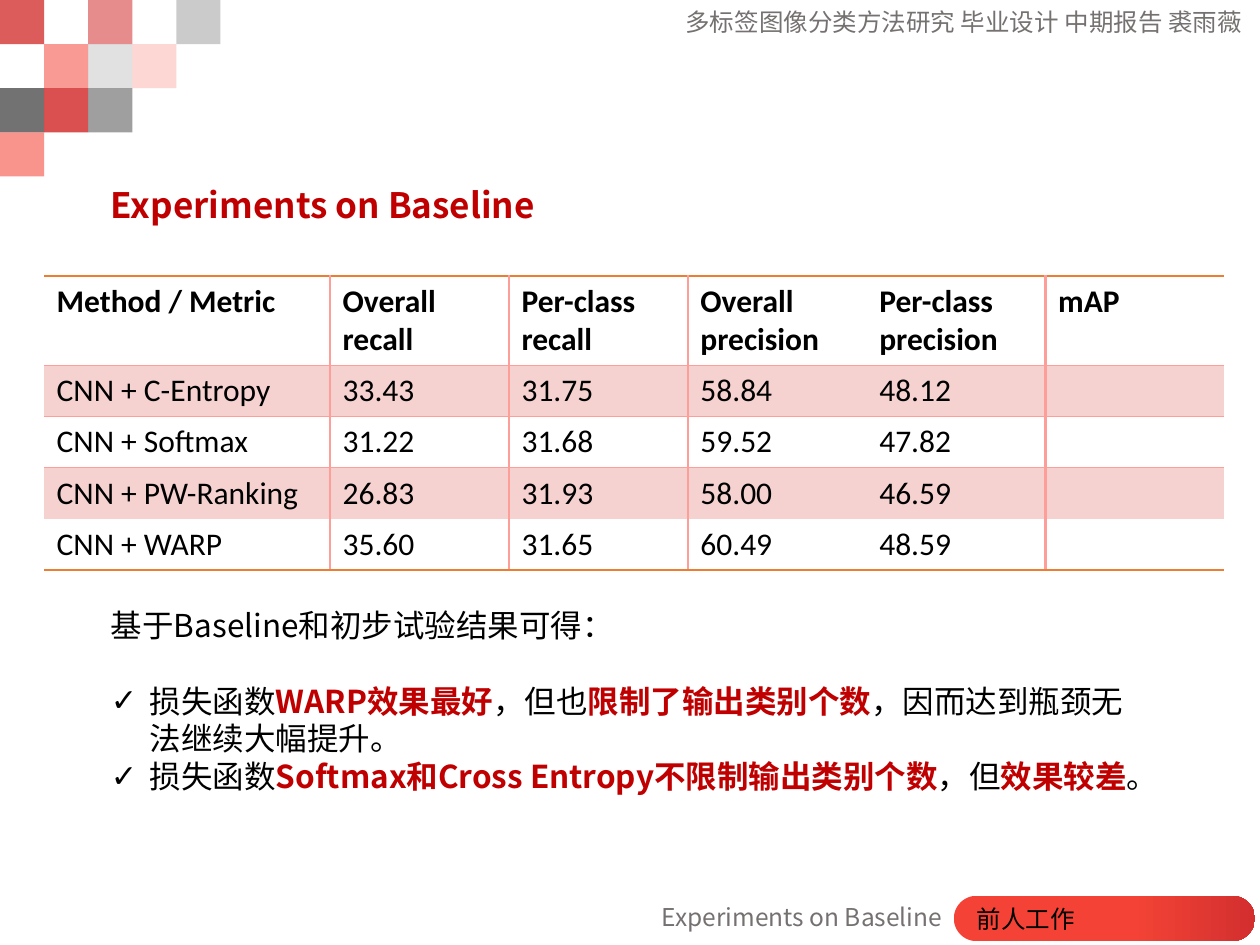
from lxml.etree import SubElement
from pptx import Presentation
from pptx.dml.color import RGBColor
from pptx.enum.shapes import MSO_SHAPE
from pptx.enum.text import MSO_ANCHOR, MSO_AUTO_SIZE, PP_ALIGN
from pptx.oxml.ns import qn
from pptx.util import Inches, Pt

COLORS = {
    "red": "D32F2F", "coral": "F44336", "gray": "727272", "ink": "212122",
    "accent": "C00000", "black": "000000", "muted": "767171",
    "band": "F5D2D0", "rule": "FD9F98", "edge": "ED7D31",
}
SIDE = 0.35
TILES = [
    (0, 0, "red", 79), (2, 0, "red", 55), (4, 0, "ink", 23),
    (1, 1, "coral", 53), (2, 1, "gray", 21), (3, 1, "coral", 21),
    (0, 2, "ink", 63), (1, 2, "red", 84), (2, 2, "gray", 68),
    (0, 3, "coral", 57),
]
ROWS = [
    ["Method / Metric", "Overall recall", "Per-class recall",
     "Overall precision", "Per-class precision", "mAP"],
    ["CNN + C-Entropy", "33.43", "31.75", "58.84", "48.12", ""],
    ["CNN + Softmax", "31.22", "31.68", "59.52", "47.82", ""],
    ["CNN + PW-Ranking", "26.83", "31.93", "58.00", "46.59", ""],
    ["CNN + WARP", "35.60", "31.65", "60.49", "48.59", ""],
]
INTRO = "基于Baseline和初步试验结果可得："
POINTS = [
    "损失函数*WARP效果最好*，但也*限制了输出类别个数*，因而达到瓶颈无法继续大幅提升。",
    "损失函数*Softmax和Cross Entropy不限制输出类别个数*，但*效果较差*。",
]
PLAIN = "{2D5ABB26-0587-4C30-8999-92F81FD0307C}"


def rgb(name):
    """Return the named colour."""
    return RGBColor.from_string(COLORS[name])


class Deck:
    """Holds the text style and the current slide."""

    def __init__(self, face="Noto Sans CJK SC", cells="Calibri"):
        self.face, self.cells = face, cells
        self.prs = Presentation()
        self.prs.slide_width, self.prs.slide_height = Inches(10), Inches(7.5)
        self.slide = self.prs.slides.add_slide(self.prs.slide_layouts[1])
        self.shapes = self.slide.shapes

    def style(self, para, size, color, bold=False):
        """Format a paragraph in the main typeface."""
        para.line_spacing = Pt(size * 1.2)
        para.space_before = Pt(0)
        font = para.font
        font.name, font.size, font.bold = self.face, Pt(size), bold
        font.color.rgb = rgb(color)
        SubElement(font._element, qn("a:ea"), typeface=self.face)

    def place(self, shape, left, top, width, height):
        """Position a text shape and anchor its text at the top."""
        shape.left, shape.top = Inches(left), Inches(top)
        shape.width, shape.height = Inches(width), Inches(height)
        frame = shape.text_frame
        frame.word_wrap = True
        frame.auto_size = MSO_AUTO_SIZE.NONE
        frame.vertical_anchor = MSO_ANCHOR.TOP
        return frame

    def title(self, text, *box):
        """Fill the title placeholder."""
        para = self.place(self.shapes.title, *box).paragraphs[0]
        para.text, para.alignment = text, PP_ALIGN.LEFT
        self.style(para, 20, "accent", True)

    def body(self, intro, points, *box):
        """Fill the body placeholder with an intro and ticked points."""
        frame = self.place(self.slide.placeholders[1], *box)
        for i, text in enumerate([intro] + points):
            para = frame.paragraphs[0] if i == 0 else frame.add_paragraph()
            props = para._p.get_or_add_pPr()
            hang = Inches(0.31) if i else 0
            props.set("marL", str(hang))
            props.set("indent", str(-hang))
            if i:
                SubElement(props, qn("a:buChar"), char="✓")
            else:
                SubElement(props, qn("a:buNone"))
            self.style(para, 18, "black")
            if i == 1:
                para.space_before = Pt(21.6)
            for j, part in enumerate(text.split("*")):
                run = para.add_run()
                run.text = part
                if j % 2:
                    run.font.bold = True
                    run.font.color.rgb = rgb("accent")

    def label(self, text, *box):
        """Add a muted right-aligned line."""
        shape = self.shapes.add_textbox(0, 0, 0, 0)
        para = self.place(shape, *box).paragraphs[0]
        para.text, para.alignment = text, PP_ALIGN.RIGHT
        self.style(para, 14, "muted")

    def mosaic(self, tiles):
        """Draw the group of translucent corner tiles."""
        group = self.shapes.add_group_shape()
        for col, row, color, alpha in tiles:
            tile = group.shapes.add_shape(
                MSO_SHAPE.RECTANGLE, Inches(col * SIDE), Inches(row * SIDE),
                Inches(SIDE), Inches(SIDE))
            tile.shadow.inherit = False
            tile.fill.solid()
            tile.fill.fore_color.rgb = rgb(color)
            tile.line.fill.background()
            tone = tile._element.spPr.find(".//" + qn("a:srgbClr"))
            SubElement(tone, qn("a:alpha"), val=str(alpha * 1000))

    def pill(self, text, *box):
        """Add the rounded gradient tab."""
        shape = self.shapes.add_shape(
            MSO_SHAPE.ROUNDED_RECTANGLE, *map(Inches, box))
        shape.adjustments[0] = 0.5
        shape.shadow.inherit = False
        shape.line.fill.background()
        shape.fill.gradient()
        shape.fill.gradient_angle = 0
        stops = shape.fill.gradient_stops
        for stop, spot, color in zip(stops, (0.59, 1), ("coral", "red")):
            stop.position, stop.color.rgb = spot, rgb(color)
        frame = shape.text_frame
        frame.margin_left = Inches(0.13)
        para = frame.paragraphs[0]
        para.text, para.alignment = text, PP_ALIGN.LEFT
        self.style(para, 14, "black")

    def border(self, cell, side, color, width):
        """Draw one side of a cell."""
        line = SubElement(cell._tc.get_or_add_tcPr(), qn("a:ln" + side),
                          w=str(Pt(width)))
        fill = SubElement(line, qn("a:solidFill"))
        SubElement(fill, qn("a:srgbClr"), val=COLORS[color])

    def table(self, rows, *box):
        """Add the banded results table."""
        last = len(rows) - 1
        table = self.shapes.add_table(
            len(rows), len(rows[0]), *map(Inches, box)).table
        table._tbl.tblPr.find(qn("a:tableStyleId")).text = PLAIN
        for c, col in enumerate(table.columns):
            col.width = Inches(1.42 if c else 2.27)
        for r, texts in enumerate(rows):
            table.rows[r].height = Inches(0.4 if r else 0.7)
            for c, text in enumerate(texts):
                cell = table.cell(r, c)
                if c in (1, 2, 5):
                    self.border(cell, "L", "rule", 1.5)
                if c in (0, 1, 4):
                    self.border(cell, "R", "rule", 1.5)
                if r < 3:
                    self.border(cell, "T", *(("rule", 0.75) if r else ("edge", 1)))
                if r in (0, 1, last):
                    self.border(cell, "B", *(("edge", 1) if r == last else ("rule", 0.75)))
                if r % 2:
                    cell.fill.solid()
                    cell.fill.fore_color.rgb = rgb("band")
                else:
                    cell.fill.background()
                para = cell.text_frame.paragraphs[0]
                para.text = text
                font = para.font
                font.name, font.size, font.bold = self.cells, Pt(18), r == 0
                font.color.rgb = rgb("black")


def main():
    """Build and save the slide."""
    deck = Deck()
    deck.label("多标签图像分类方法研究 毕业设计 中期报告 裘雨薇", 4.96, 0.01, 5, 0.34)
    deck.mosaic(TILES)
    deck.pill("前人工作", 7.57, 7.11, 2.39, 0.36)
    deck.table(ROWS, 0.35, 2.19, 9.37, 2.32)
    deck.label("Experiments on Baseline", 4.58, 7.11, 3, 0.34)
    deck.title("Experiments on Baseline", 0.78, 1.41, 8.27, 0.45)
    deck.body(INTRO, POINTS, 0.78, 4.76, 8.27, 1.9)
    deck.prs.save("out.pptx")


if __name__ == "__main__":
    main()
